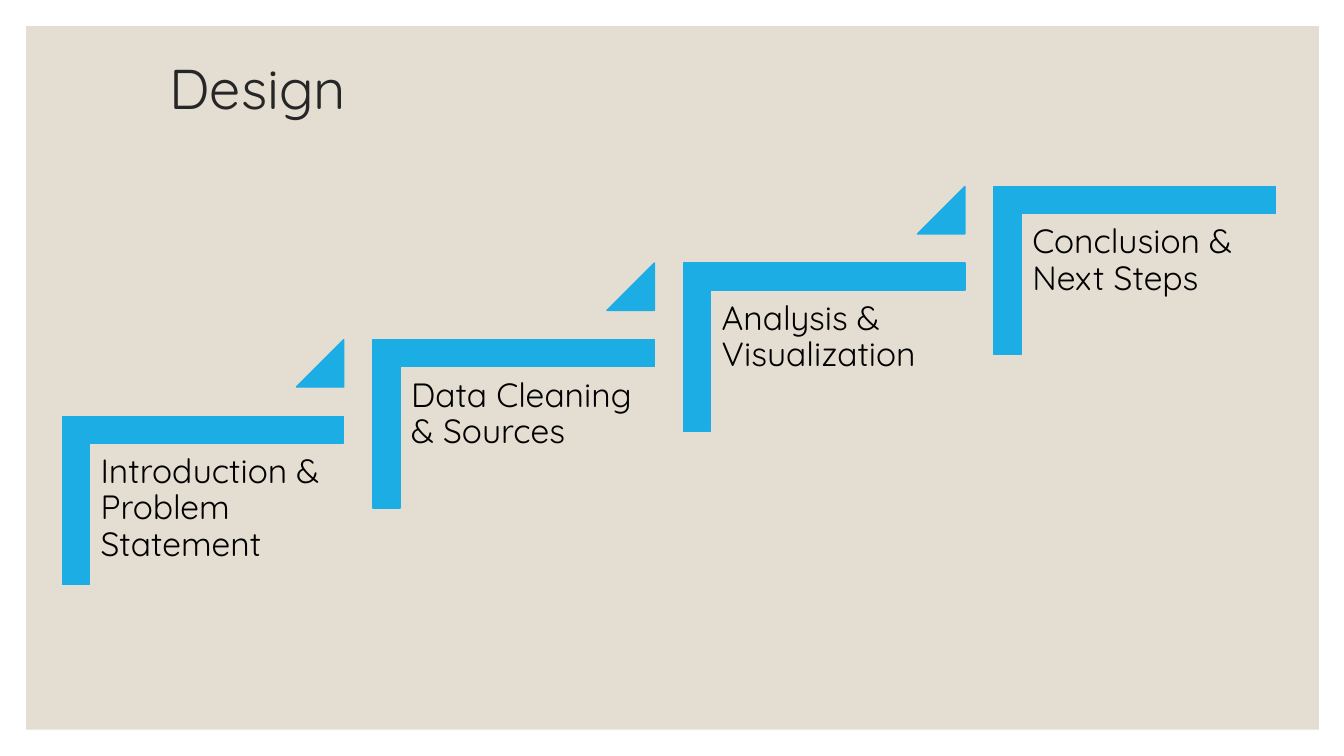
from pptx import Presentation
from pptx.dml.color import RGBColor
from pptx.enum.shapes import MSO_SHAPE
from pptx.enum.text import MSO_ANCHOR, MSO_AUTO_SIZE, PP_ALIGN
from pptx.util import Pt

RECT = MSO_SHAPE.RECTANGLE
CORNER = MSO_SHAPE.CORNER
TRIANGLE = MSO_SHAPE.ISOSCELES_TRIANGLE
TOP, MIDDLE = MSO_ANCHOR.TOP, MSO_ANCHOR.MIDDLE
LEFT = PP_ALIGN.LEFT
NO_AUTOFIT = MSO_AUTO_SIZE.NONE

PX = 9144  # 100 px to the inch
FONT = "Quicksand"
COLORS = {"panel": "E3DED1", "step": "1CADE4", "title": "262626", "label": "010000"}
STEPS = [
    "Introduction & Problem Statement",
    "Data Cleaning & Sources",
    "Analysis & Visualization",
    "Conclusion & Next Steps",
]
RUN, RISE = 308, 76  # offset from one step to the next


def px(*values):
    return [v * PX for v in values]


def rgb(name):
    return RGBColor.from_string(COLORS[name])


def add_block(slide, kind, box, color, outlined=True, adjustments=(), rotation=0):
    sp = slide.shapes.add_shape(kind, *px(*box))
    sp.shadow.inherit = False
    sp.rotation = rotation
    for i, value in enumerate(adjustments):
        sp.adjustments[i] = value
    sp.fill.solid()
    sp.fill.fore_color.rgb = rgb(color)
    if outlined:
        sp.line.color.rgb = rgb(color)
        sp.line.width = Pt(1)
    else:
        sp.line.fill.background()
    return sp


def set_text(sp, text, size, color, anchor=TOP, inset=10):
    tf = sp.text_frame
    tf.word_wrap = True
    tf.auto_size = NO_AUTOFIT
    tf.vertical_anchor = anchor
    tf.margin_left = tf.margin_right = inset * PX
    tf.margin_top = tf.margin_bottom = inset * PX
    p = tf.paragraphs[0]
    p.alignment = LEFT
    p.line_spacing = 0.9
    r = p.add_run()
    r.text = text
    r.font.size = Pt(size)
    r.font.name = FONT
    r.font.color.rgb = rgb(color)


def add_step(slide, i, label):
    x, y = RUN * i, -RISE * i
    add_block(slide, CORNER, (118 + x, 357 + y, 167, 279), "step",
              adjustments=(0.16, 0.16), rotation=90)
    sp = slide.shapes.add_textbox(*px(90 + x, 441 + y, 260, 220))
    set_text(sp, label, 24, "label")
    # Triangle pointing up to the next step
    if i < len(STEPS) - 1:
        add_block(slide, TRIANGLE, (294 + x, 337 + y, 47, 47), "step", adjustments=(1,))


def main():
    prs = Presentation()
    prs.slide_width, prs.slide_height = px(1333, 750)
    slide = prs.slides.add_slide(prs.slide_layouts[5])

    # Panel, sent behind the title
    panel = add_block(slide, RECT, (26, 26, 1282, 698), "panel", outlined=False)
    slide.shapes.title._element.addprevious(panel._element)

    # Title
    title = slide.shapes.title
    title.left, title.top, title.width, title.height = px(158, 38, 1083, 106)
    set_text(title, "Design", 40, "title", anchor=MIDDLE)

    # Staircase
    for i, label in enumerate(STEPS):
        add_step(slide, i, label)

    prs.save("out.pptx")


if __name__ == "__main__":
    main()
